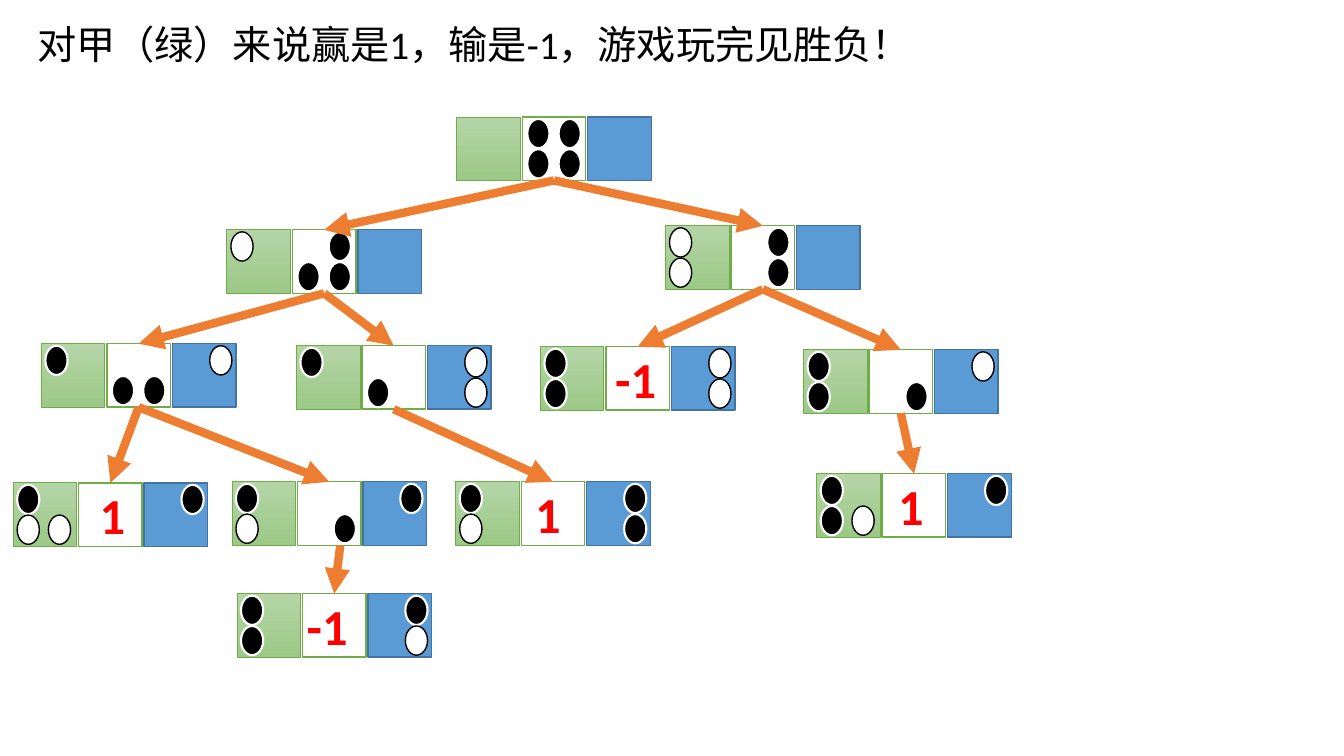
from pptx import Presentation
from pptx.dml.color import RGBColor as Rgb
from pptx.enum.shapes import MSO_CONNECTOR as Link, MSO_SHAPE as Kind
from pptx.enum.text import MSO_ANCHOR as Anchor, PP_ALIGN as Align
from pptx.oxml.ns import qn
from pptx.util import Inches, Pt
from lxml.etree import SubElement as sub

COLS, ROWS = 1333, 750
UNIT = Inches(13.33) // COLS
CELL, STEP = 63, 65
DOT = (22, 29)
DOT_X = (4, 35, 70, 101, 136, 167)
DOT_Y = (2, 32)

HUES = {
    "ink": "000000", "white": "FFFFFF", "red": "FF0000",
    "light": "B5D5A7", "dark": "9CC987", "green": "70AD47",
    "blue": "5B9BD5", "navy": "43739E", "orange": "ED7D31",
}
TITLE = {"size": Pt(28), "name": "Calibri"}
SCORE = {"size": Pt(36), "name": "Calibri", "bold": True}
# fill, line colour, line width
CELLS = (("white", "green", 1), (None, "green", 0.5), ("blue", "navy", 1))
DOTS = {"●": ("ink", "white", 1.5), "○": ("white", "ink", 1)}

# left, top, upper and lower row of stones, score and its left offset
BOARDS = {
    "root": (453, 116, "··●●··", "··●●··", None),
    "one": (225, 228, "○··●··", "··●●··", None),
    "two": (660, 224, "○··●··", "○··●··", None),
    "one-one": (41, 341, "●····○", "··●●··", None),
    "one-two": (294, 343, "●····○", "··●··○", None),
    "two-two": (536, 344, "●····○", "●····○", ("-1", 47)),
    "two-one": (797, 347, "●····○", "●··●··", None),
    "far win": (452, 478, "●····●", "○····●", ("1", 44)),
    "right win": (810, 470, "●····●", "●○····", ("1", 46)),
    "left win": (13, 479, "●····●", "○○····", ("1", 51)),
    "last": (230, 478, "●····●", "○··●··", None),
    "loss": (235, 589, "●····●", "●····○", ("-1", 42)),
}
# parent, child, shift of the start from the middle
MOVES = (
    ("root", "one", 0), ("root", "two", 0),
    ("one", "one-one", 0), ("one", "one-two", 0),
    ("two", "two-two", 0), ("two", "two-one", 0),
    ("two-one", "right win", 0), ("one-two", "far win", 0),
    ("one-one", "left win", 0), ("one-one", "last", 0),
    ("last", "loss", 11),
)


def hue(name):
    return Rgb.from_string(HUES[name])


def grid(*cells):
    return [UNIT * cell for cell in cells]


def draw(slide, kind, box, look):
    """Add a preset shape; a look without a fill gets the green gradient."""
    fill, edge, width = look
    shape = slide.shapes.add_shape(kind, *grid(*box))
    shape.shadow.inherit = False
    if fill:
        shape.fill.solid()
        shape.fill.fore_color.rgb = hue(fill)
    else:
        shape.fill.gradient()
        shape.fill.gradient_angle = 270
        for stop, name in zip(shape.fill.gradient_stops, ("light", "dark")):
            stop.color.rgb = hue(name)
    shape.line.color.rgb = hue(edge)
    shape.line.width = Pt(width)
    return shape


def write(slide, box, text, style, tint, align):
    frame = slide.shapes.add_textbox(*grid(*box)).text_frame
    frame.word_wrap = True
    frame.vertical_anchor = Anchor.MIDDLE
    para = frame.paragraphs[0]
    para.text = text
    para.alignment = align
    para.line_spacing = 0.9 if style is TITLE else 1
    for key, value in style.items():
        setattr(para.runs[0].font, key, value)
    para.runs[0].font.color.rgb = hue(tint)


def board(slide, left, top, rows):
    """Draw three cells and their stones; return the middle cell."""
    places = (1, 0, 2)
    cells = [draw(slide, Kind.RECTANGLE,
                  (left + place * STEP, top, CELL, CELL), look)
             for place, look in zip(places, CELLS)]
    for y, row in zip(DOT_Y, rows):
        for x, mark in zip(DOT_X, row):
            if mark in DOTS:
                draw(slide, Kind.OVAL, (left + x, top + y, *DOT), DOTS[mark])
    return cells[0]


def arrow(slide, start, end, shift):
    line = slide.shapes.add_connector(Link.STRAIGHT, 0, 0, 0, 0)
    if shift:
        line.begin_x = start.left + start.width // 2 + UNIT * shift
        line.begin_y = start.top + start.height
    else:
        line.begin_connect(start, 2)
    line.end_connect(end, 0)
    line.line.color.rgb = hue("orange")
    line.line.width = Pt(6)
    props = line._element.spPr
    sub(props.find(qn("a:ln")), qn("a:tailEnd"), type="triangle")
    sub(props, qn("a:effectLst"))


def tree(slide):
    """Draw the boards, then the moves between them, then the scores."""
    mids = {name: board(slide, x, y, rows)
            for name, (x, y, *rows, _) in BOARDS.items()}
    for start, end, shift in MOVES:
        arrow(slide, mids[start], mids[end], shift)
    for x, y, _, _, score in BOARDS.values():
        if score:
            text, shift = score
            write(slide, (x + shift, y + 4, 95, 54), text,
                  SCORE, "red", Align.CENTER)


def main():
    deck = Presentation()
    deck.slide_width, deck.slide_height = grid(COLS, ROWS)
    slide = deck.slides.add_slide(deck.slide_layouts[6])
    write(slide, (27, 11, 1180, 71),
          "对甲（绿）来说赢是1，输是-1，游戏玩完见胜负！",
          TITLE, "ink", Align.LEFT)
    tree(slide)
    deck.save("out.pptx")


if __name__ == "__main__":
    main()
